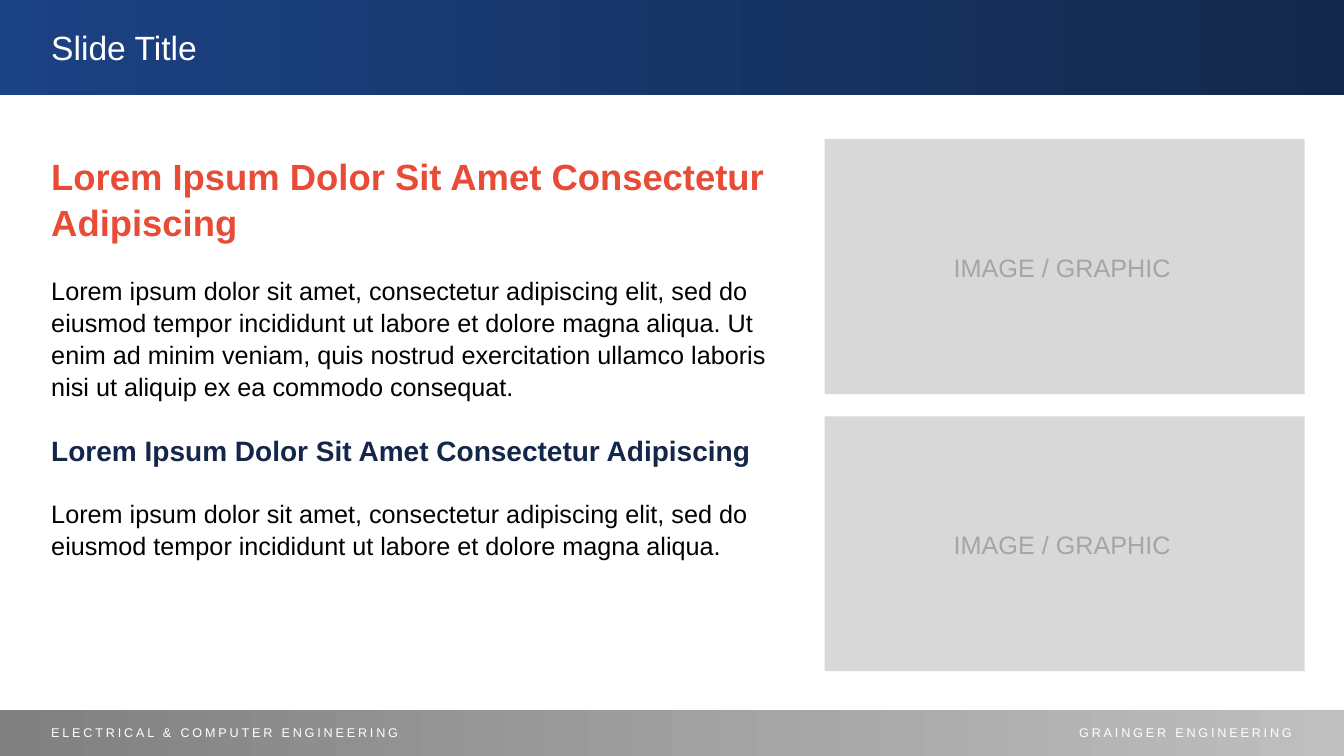
from pptx import Presentation
from pptx.dml.color import RGBColor
from pptx.enum.shapes import MSO_SHAPE
from pptx.enum.text import MSO_AUTO_SIZE, PP_ALIGN
from pptx.util import Inches, Pt

RECT = MSO_SHAPE.RECTANGLE
LEFT, CENTER, RIGHT = PP_ALIGN.LEFT, PP_ALIGN.CENTER, PP_ALIGN.RIGHT
GROW = MSO_AUTO_SIZE.SHAPE_TO_FIT_TEXT
FIXED = MSO_AUTO_SIZE.NONE

COLORS = {
    "white": "FFFFFF", "black": "000000",
    "orange": "E84B36", "navy": "15264B",
    "panel": "D8D8D8", "label": "A5A5A5",
    "blue": "1B4284", "midnight": "13294B",
    "gray": "808080", "silver": "BFBFBF",
}
WIDTH = 13.33
MARGIN = 0.41


def add_rect(left, top, width, height, *colors):
    """Add a plain rectangle; two colors give a left-to-right gradient."""
    rect = slide.shapes.add_shape(
        RECT, Inches(left), Inches(top), Inches(width), Inches(height))
    rect.shadow.inherit = False
    rect.line.fill.background()
    if len(colors) == 1:
        rect.fill.solid()
        rect.fill.fore_color.rgb = RGBColor.from_string(COLORS[colors[0]])
        return
    rect.fill.gradient()
    rect.fill.gradient_angle = 0
    for stop, color in zip(rect.fill.gradient_stops, colors):
        stop.color.rgb = RGBColor.from_string(COLORS[color])


def add_text(parts, box, align=LEFT, fit=GROW, track=0, lines=1.0, gap=0):
    """Add a text box from (text, size, color, bold) parts, one per paragraph."""
    frame = slide.shapes.add_textbox(*map(Inches, box)).text_frame
    frame.word_wrap = True
    frame.auto_size = fit
    for i, (text, size, color, bold) in enumerate(parts):
        para = frame.add_paragraph() if i else frame.paragraphs[0]
        para.alignment = align
        para.line_spacing = lines
        if i and gap:
            para.space_before = Pt(gap)
        run = para.add_run()
        run.text = text
        run.font.name = "Arial"
        run.font.size = Pt(size)
        run.font.bold = bold
        run.font.color.rgb = RGBColor.from_string(COLORS[color])
        if track:
            run._r.get_or_add_rPr().set("spc", str(track * 100))


prs = Presentation()
prs.slide_width = Inches(WIDTH)
prs.slide_height = Inches(7.5)
slide = prs.slides.add_slide(prs.slide_layouts[6])

# Image panels
for row in range(2):
    top = 1.38 + row * 2.75
    add_rect(8.18, top, 4.76, 2.53, "panel")
    add_text([("IMAGE / GRAPHIC", 18, "label", False)],
             (9.29, top + 1.07, 2.49, 0.4), align=CENTER)

# Body
head = "Lorem Ipsum Dolor Sit Amet Consectetur Adipiscing"
lorem = ("Lorem ipsum dolor sit amet, consectetur adipiscing elit, sed do "
         "eiusmod tempor incididunt ut labore et dolore magna aliqua.")
more = (" Ut enim ad minim veniam, quis nostrud exercitation ullamco laboris "
        "nisi ut aliquip ex ea commodo consequat.")
body = [
    (head, 26, "orange", True),
    (lorem + more, 18, "black", False),
    (head, 20, "navy", True),
    (lorem, 18, "black", False),
]
add_text(body, (MARGIN, 1.46, 7.31, 5.27), fit=FIXED, lines=1.05, gap=21.7)

# Header
add_rect(0, -0.01, WIDTH, 0.95, "blue", "midnight")
add_text([("Slide Title", 24, "white", False)], (MARGIN, 0.22, 11.93, 0.5))

# Footer
add_rect(0, 7.04, WIDTH, 0.46, "gray", "silver")
add_text([("ELECTRICAL & COMPUTER ENGINEERING", 9, "white", False)],
         (MARGIN, 7.14, 8.74, 0.25), track=2)
add_text([("GRAINGER ENGINEERING", 9, "white", False)],
         (10.21, 7.14, 2.7, 0.25), align=RIGHT, track=2)

prs.save("out.pptx")
